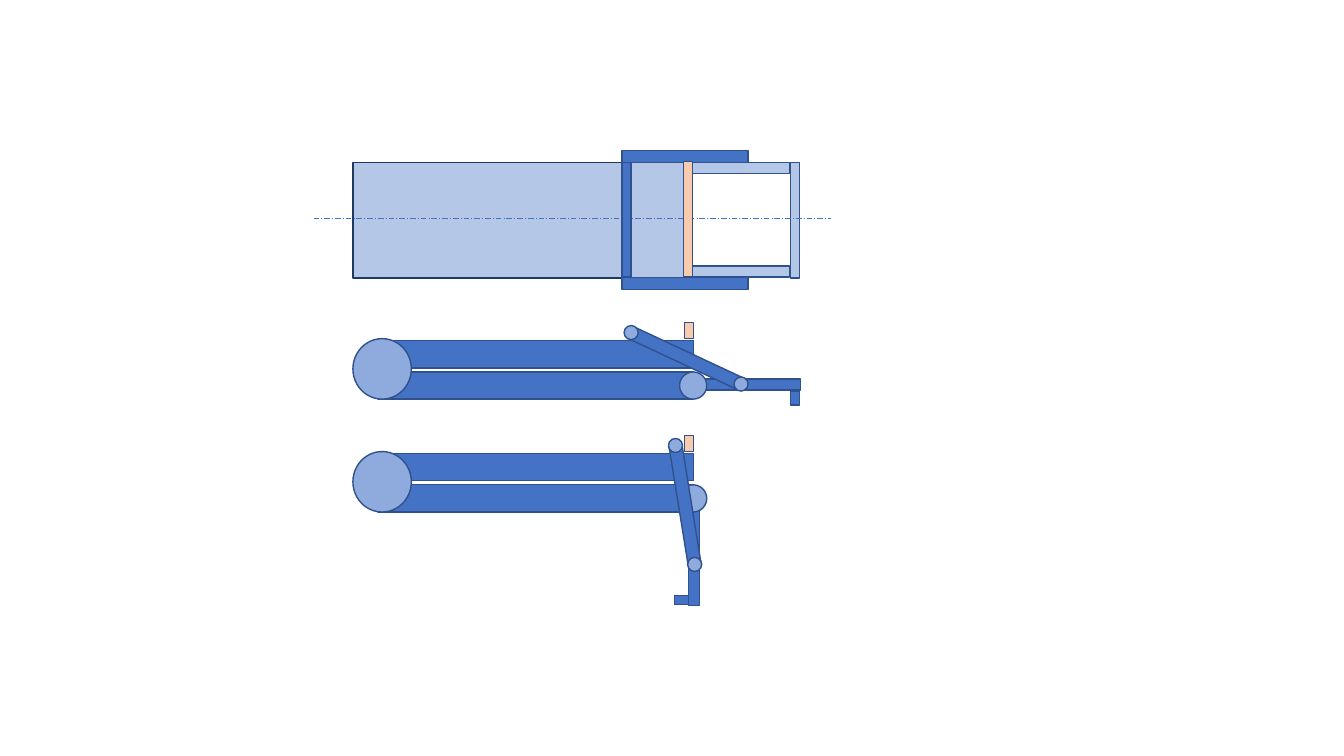
import math
from dataclasses import dataclass

from lxml import etree
from pptx import Presentation
from pptx import util as u
from pptx.dml import color
from pptx.enum import dml, shapes
from pptx.oxml import ns


@dataclass(frozen=True)
class Theme:
    dark: str = "4472C4"
    round: str = "8FAADC"
    pale: str = "B4C7E7"
    stop: str = "F8CBAD"
    outline: str = "2F528F"
    body_outline: str = "203864"
    outline_width: float = 1
    axis_width: float = 0.5


THEME = Theme()
RECTANGLE = shapes.MSO_SHAPE.RECTANGLE
OVAL = shapes.MSO_SHAPE.OVAL


def add_part(group, box, fill=THEME.dark, outline=THEME.outline, kind=RECTANGLE, rotation=0):
    shape = group.shapes.add_shape(kind, *map(u.Inches, box))
    shape.shadow.inherit = False
    shape.fill.solid()
    shape.fill.fore_color.rgb = color.RGBColor.from_string(fill)
    shape.line.color.rgb = color.RGBColor.from_string(outline)
    shape.line.width = u.Pt(THEME.outline_width)
    shape.rotation = rotation


def add_disc(group, left, top, width, height):
    add_part(group, (left, top, width, height), THEME.round, kind=OVAL)


def add_axis(group, left, right, y):
    axis = group.shapes.add_connector(
        shapes.MSO_CONNECTOR.STRAIGHT, u.Inches(left), u.Inches(y), u.Inches(right), u.Inches(y)
    )
    axis.line.color.rgb = color.RGBColor.from_string(THEME.dark)
    axis.line.width = u.Pt(THEME.axis_width)
    axis.line.dash_style = dml.MSO_LINE.LONG_DASH_DOT
    etree.SubElement(axis._element.spPr, ns.qn("a:effectLst"))


def add_link(group, start, end):
    width, length, pin = 0.13, 1.21, 0.14
    center_x, center_y = ((a + b) / 2 for a, b in zip(start, end))
    angle = -math.degrees(math.atan2(end[0] - start[0], end[1] - start[1]))
    box = (center_x - width / 2, center_y - length / 2, width, length)
    add_part(group, box, rotation=angle)
    for x, y in (start, end):
        add_disc(group, x - pin / 2, y - pin / 2, pin, pin)


def add_top_view(slide):
    group = slide.shapes.add_group_shape()
    add_part(group, (3.5, 1.61, 3.37, 1.15), THEME.pale, THEME.body_outline)
    for y in (1.61, 2.64):
        add_part(group, (6.87, y, 0.96, 0.11), THEME.pale)
    add_part(group, (7.84, 1.61, 0.09, 1.15), THEME.pale)
    add_axis(group, 3.11, 8.24, 2.17)
    add_part(group, (6.17, 1.6, 0.09, 1.15))
    for y in (1.49, 2.75):
        add_part(group, (6.17, y, 1.25, 0.12))
    add_part(group, (6.78, 1.6, 0.09, 1.15), THEME.stop)


def add_side_view(slide, top, flap, lip, link_start, link_end):
    group = slide.shapes.add_group_shape()
    for offset in (0.02, 0.33):
        add_part(group, (3.75, top + offset, 3.13, 0.27))
    add_disc(group, 3.5, top, 0.58, 0.6)
    add_part(group, flap)
    add_disc(group, 6.74, top + 0.33, 0.27, 0.27)
    add_part(group, (6.79, top - 0.16, 0.09, 0.16), THEME.stop)
    add_part(group, lip)
    add_link(group, link_start, link_end)


def main():
    presentation = Presentation()
    presentation.slide_width = u.Inches(13.33)
    presentation.slide_height = u.Inches(7.5)
    slide = presentation.slides.add_slide(presentation.slide_layouts[6])
    add_top_view(slide)
    add_side_view(
        slide,
        top=3.36,
        flap=(6.88, 3.76, 1.06, 0.11),
        lip=(7.84, 3.88, 0.09, 0.14),
        link_start=(6.26, 3.3),
        link_end=(7.35, 3.81),
    )
    add_side_view(
        slide,
        top=4.48,
        flap=(6.83, 4.95, 0.11, 1.06),
        lip=(6.69, 5.91, 0.14, 0.09),
        link_start=(6.7, 4.42),
        link_end=(6.89, 5.6),
    )
    presentation.save("out.pptx")


if __name__ == "__main__":
    main()
